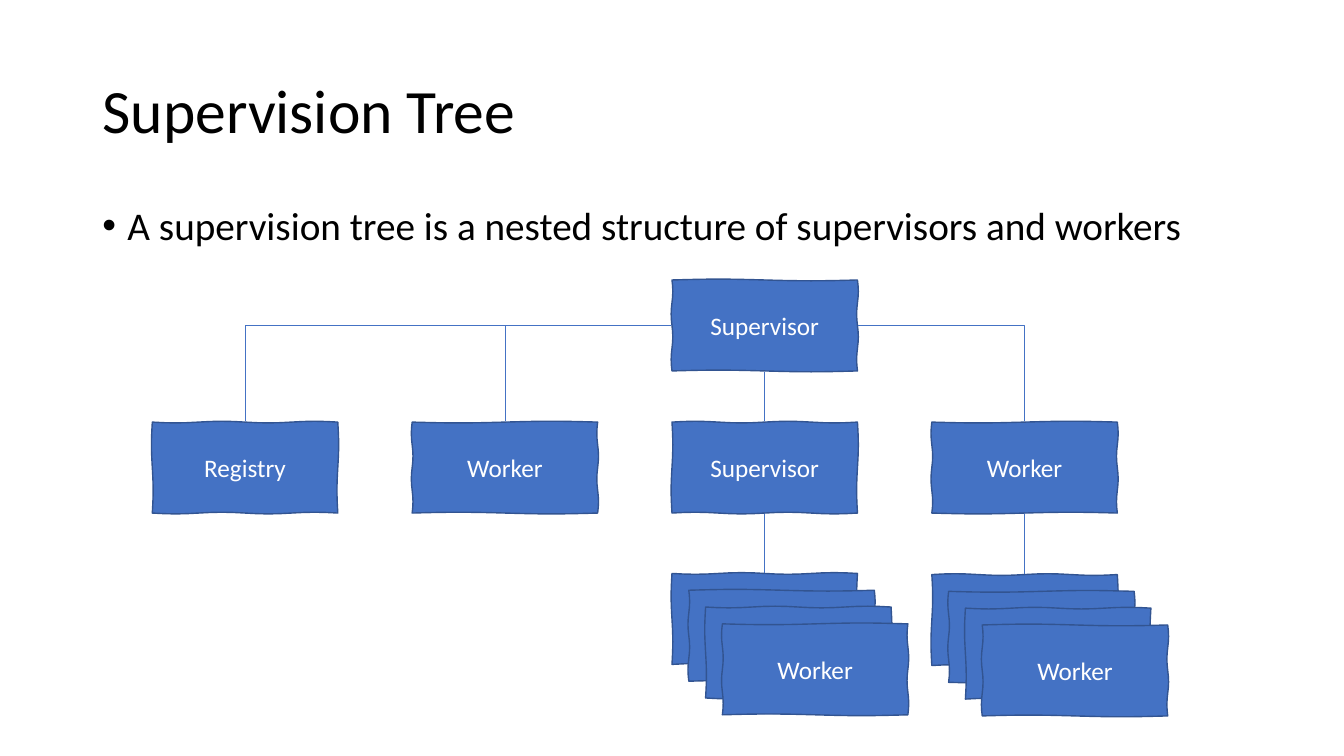
from dataclasses import dataclass
from math import pi, sin

from lxml import etree
from pptx import Presentation
from pptx import util as u
from pptx.dml.color import RGBColor
from pptx.enum import shapes, text
from pptx.oxml import ns

COLORS = {"box": "4472C4", "outline": "325491", "light": "FFFFFF", "dark": "000000"}
BOX_WIDTH, BOX_HEIGHT = 132.5, 65
FIRST_COLUMN, COLUMN_PITCH = 108.8, 185.6
ROOT_TOP, CHILD_TOP = 200, 301.5
STACK_STEP, STACK_SIZE = 12, 4
WOBBLE, EDGE_STEPS = 0.6, 16
TOP, LEFT, BOTTOM, RIGHT = range(4)


@dataclass(frozen=True)
class Box:
    key: str
    label: str
    column: int
    top: float
    shift: float = 0

    @property
    def left(self) -> float:
        return FIRST_COLUMN + self.column * COLUMN_PITCH + self.shift


@dataclass(frozen=True)
class Link:
    parent: str
    parent_side: int
    child: str
    bent: bool = False


def stack(key: str, column: int, top: float) -> list[Box]:
    """List overlapping boxes, of which only the front one is labelled."""
    return [
        Box(f"{key} {i}", "Worker" if i == STACK_SIZE - 1 else "", column, top + i * STACK_STEP, i * STACK_STEP)
        for i in range(STACK_SIZE)
    ]


BOXES = [
    Box("root", "Supervisor", 2, ROOT_TOP),
    Box("registry", "Registry", 0, CHILD_TOP),
    Box("worker", "Worker", 1, CHILD_TOP),
    Box("supervisor", "Supervisor", 2, CHILD_TOP),
    Box("parent worker", "Worker", 3, CHILD_TOP),
    *stack("supervised", 2, 409.6),
    *stack("spawned", 3, 410.4),
]
LINKS = [
    Link("root", BOTTOM, "supervisor"),
    Link("supervisor", BOTTOM, "supervised 0"),
    Link("parent worker", BOTTOM, "spawned 0"),
    Link("root", RIGHT, "parent worker", bent=True),
    Link("root", LEFT, "worker", bent=True),
    Link("root", LEFT, "registry", bent=True),
]


def write(shape, content: str, *, size: float, color: str, align=text.PP_ALIGN.LEFT,
          anchor=text.MSO_ANCHOR.MIDDLE, line_spacing: float = 1.0,
          space_before: float = 0, bullet_indent: float = 0) -> None:
    """Put one formatted paragraph in a shape."""
    frame = shape.text_frame
    frame.word_wrap = True
    frame.auto_size = text.MSO_AUTO_SIZE.NONE
    frame.vertical_anchor = anchor
    paragraph = frame.paragraphs[0]
    paragraph.alignment = align
    paragraph.line_spacing = line_spacing
    paragraph.space_before = u.Pt(space_before)
    run = paragraph.add_run()
    run.text = content
    run.font.name = "Calibri"
    run.font.size = u.Pt(size)
    run.font.color.rgb = RGBColor.from_string(COLORS[color])
    if bullet_indent:
        properties = paragraph._p.get_or_add_pPr()
        properties.set("marL", str(u.Pt(bullet_indent)))
        properties.set("indent", str(-u.Pt(bullet_indent)))
        etree.SubElement(properties, ns.qn("a:buFont")).set("typeface", "Arial")
        etree.SubElement(properties, ns.qn("a:buChar")).set("char", "•")


def sketch_outline(box: Box, seed: int) -> list[tuple[int, int]]:
    """Trace a rectangle whose edges waver as if drawn by hand."""
    right, bottom = box.left + BOX_WIDTH, box.top + BOX_HEIGHT
    corners = [(box.left, box.top), (right, box.top), (right, bottom), (box.left, bottom)]
    points = []
    for edge, (x, y) in enumerate(corners):
        next_x, next_y = corners[(edge + 1) % 4]
        cycles = 1 + (seed + edge) % 2
        sign = 1 if (seed + edge) % 3 else -1
        for step in range(EDGE_STEPS):
            part = step / EDGE_STEPS
            offset = sign * WOBBLE * sin(2 * pi * cycles * part)
            across = edge % 2 == 0
            points.append((
                u.Pt(x + (next_x - x) * part + (0 if across else offset)),
                u.Pt(y + (next_y - y) * part + (offset if across else 0)),
            ))
    return points


def draw_box(slide, box: Box, seed: int):
    """Draw a sketched box with its label."""
    start, *rest = sketch_outline(box, seed)
    builder = slide.shapes.build_freeform(*start)
    builder.add_line_segments(rest, close=True)
    shape = builder.convert_to_shape()
    shape.shadow.inherit = False
    shape.fill.solid()
    shape.fill.fore_color.rgb = RGBColor.from_string(COLORS["box"])
    shape.line.color.rgb = RGBColor.from_string(COLORS["outline"])
    shape.line.width = u.Pt(1)
    if box.label:
        write(shape, box.label, size=18, color="light", align=text.PP_ALIGN.CENTER)
    return shape


def draw_link(slide, link: Link, drawn: dict) -> None:
    """Join a parent box to the top of its child."""
    kind = shapes.MSO_CONNECTOR.ELBOW if link.bent else shapes.MSO_CONNECTOR.STRAIGHT
    connector = slide.shapes.add_connector(kind, 0, 0, 0, 0)
    connector.begin_connect(drawn[link.parent], link.parent_side)
    connector.end_connect(drawn[link.child], TOP)
    connector.line.color.rgb = RGBColor.from_string(COLORS["box"])
    connector.line.width = u.Pt(0.5)
    properties = connector._element.spPr
    if link.bent:
        properties.find(ns.qn("a:prstGeom")).set("prst", "bentConnector2")
    etree.SubElement(properties, ns.qn("a:effectLst"))


def main() -> None:
    """Build the supervision tree slide."""
    presentation = Presentation()
    presentation.slide_width, presentation.slide_height = u.Pt(960), u.Pt(540)
    slide = presentation.slides.add_slide(presentation.slide_layouts.get_by_name("Title Only"))

    title = slide.shapes.title
    title.left, title.top, title.width, title.height = map(u.Pt, (66, 28.75, 828, 104.4))
    write(title, "Supervision Tree", size=44, color="dark", line_spacing=0.9)

    body = slide.shapes.add_textbox(*map(u.Pt, (66, 143.75, 828, 342.6)))
    write(body, "A supervision tree is a nested structure of supervisors and workers",
          size=28, color="dark", anchor=text.MSO_ANCHOR.TOP, line_spacing=0.9,
          space_before=10, bullet_indent=18)

    drawn = {box.key: draw_box(slide, box, seed) for seed, box in enumerate(BOXES)}
    for link in LINKS:
        draw_link(slide, link, drawn)
    presentation.save("out.pptx")


if __name__ == "__main__":
    main()
